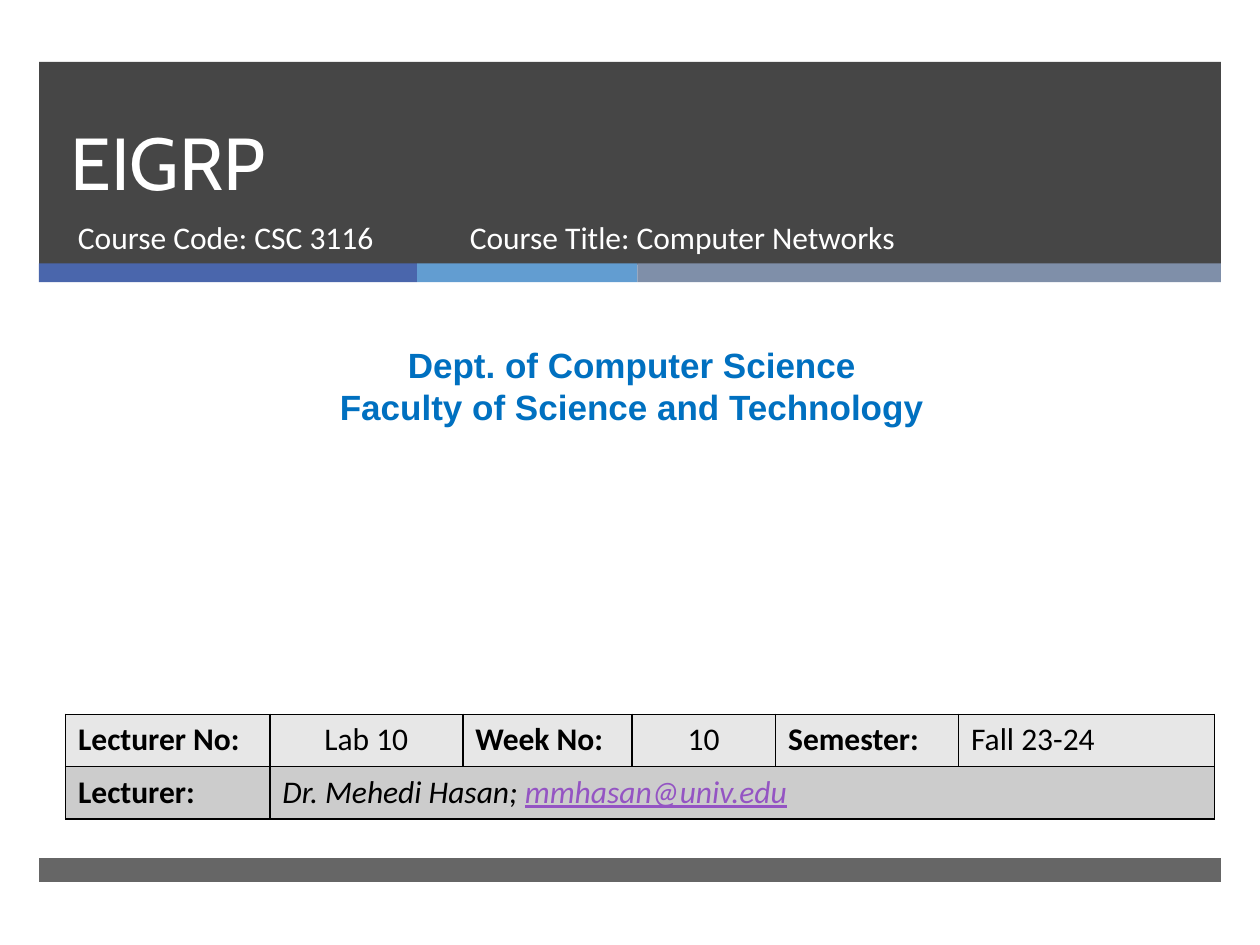
from dataclasses import dataclass

from lxml.etree import SubElement
from pptx import Presentation
from pptx.dml.color import RGBColor
from pptx.enum.shapes import MSO_SHAPE
from pptx.enum.text import MSO_ANCHOR, MSO_AUTO_SIZE, PP_ALIGN
from pptx.oxml.ns import qn
from pptx.util import Inches, Pt


@dataclass(frozen=True)
class Theme:
    dark: str = "262626"
    stripes: tuple = ("4A66AC", "629DD1", "7F8FA9")
    white: str = "FFFFFF"
    black: str = "000000"
    department: str = "0070C0"
    email: str = "9454C3"
    rows: tuple = ("E7E7E7", "CCCCCC")
    title_font: str = "Cabin"
    body_font: str = "Calibri"
    department_font: str = "Arial"
    title_size: int = 42
    title_leading: int = 46
    department_size: int = 20
    body_size: int = 18
    border: int = 1


THEME = Theme()


def style(run, size, font, color, bold=False, italic=False, underline=False):
    run.font.size = Pt(size)
    run.font.name = font
    run.font.color.rgb = RGBColor.from_string(color)
    run.font.bold = bold
    run.font.italic = italic
    run.font.underline = underline


def add_band(slide, left, top, width, height, color, opacity=100):
    band = slide.shapes.add_shape(
        MSO_SHAPE.RECTANGLE, Inches(left), Inches(top), Inches(width), Inches(height))
    band.shadow.inherit = False
    band.line.fill.background()
    band.fill.solid()
    band.fill.fore_color.rgb = RGBColor.from_string(color)
    if opacity < 100:
        fill_color = band.element.spPr.find(".//" + qn("a:srgbClr"))
        SubElement(fill_color, qn("a:alpha"), val=str(opacity * 1000))


def add_text(slide, left, top, width, height, text, size, font, color,
             bold=False, align=PP_ALIGN.LEFT):
    box = slide.shapes.add_textbox(Inches(left), Inches(top), Inches(width), Inches(height))
    frame = box.text_frame
    frame.word_wrap = True
    frame.text = text
    for paragraph in frame.paragraphs:
        paragraph.alignment = align
        style(paragraph.runs[0], size, font, color, bold)


def add_header(slide, left, top, width, height):
    """Dark banner with the title and course details, above a row of stripes."""
    add_band(slide, left, top, width, height, THEME.dark, 85)
    stripe_left = left
    stripe_widths = (3, 1.75, width - 4.75)
    for stripe_width, color in zip(stripe_widths, THEME.stripes):
        add_band(slide, stripe_left, top + 1.6, stripe_width, 0.15, color)
        stripe_left += stripe_width

    title = slide.shapes.title
    title.left, title.top = Inches(left + 0.15), Inches(top)
    title.width, title.height = Inches(8.54), Inches(1.19)
    title.element.getparent().append(title.element)  # bring in front of the banner
    frame = title.text_frame
    frame.text = "EIGRP"
    frame.auto_size = MSO_AUTO_SIZE.NONE
    frame.vertical_anchor = MSO_ANCHOR.BOTTOM
    heading = frame.paragraphs[0]
    heading.alignment = PP_ALIGN.LEFT
    heading.line_spacing = Pt(THEME.title_leading)
    style(heading.runs[0], THEME.title_size, THEME.title_font, THEME.white)

    course_details = (
        (0.21, 3.05, "Course Code: CSC 3116"),
        (3.32, 4.55, "Course Title: Computer Networks"),
    )
    for offset, detail_width, detail in course_details:
        add_text(slide, left + offset, top + 1.19, detail_width, 0.53, detail,
                 THEME.body_size, THEME.body_font, THEME.white)


def add_department(slide, left, top, width, height):
    add_text(slide, left, top, width, height,
             "Dept. of Computer Science\nFaculty of Science and Technology",
             THEME.department_size, THEME.department_font, THEME.department,
             bold=True, align=PP_ALIGN.CENTER)


def set_borders(cell):
    properties = cell._tc.get_or_add_tcPr()
    for side in ("a:lnL", "a:lnR", "a:lnT", "a:lnB"):
        line = SubElement(properties, qn(side), w=str(Pt(THEME.border)))
        fill = SubElement(line, qn("a:solidFill"))
        SubElement(fill, qn("a:srgbClr"), val=THEME.black)


def fill_cell(cell, text, bold=False, align=PP_ALIGN.LEFT):
    cell.text = text
    paragraph = cell.text_frame.paragraphs[0]
    paragraph.alignment = align
    style(paragraph.runs[0], THEME.body_size, THEME.body_font, THEME.black, bold)


def add_lecture_table(slide, left, top, width, height):
    column_shares = (1.62, 1.53, 1.34, 1.14, 1.45, 2.03)
    table = slide.shapes.add_table(
        2, len(column_shares), Inches(left), Inches(top), Inches(width), Inches(height)).table
    for column, share in zip(table.columns, column_shares):
        column.width = Inches(width * share / sum(column_shares))
    for row, color in zip(table.rows, THEME.rows):
        for cell in row.cells:
            set_borders(cell)
            cell.fill.solid()
            cell.fill.fore_color.rgb = RGBColor.from_string(color)

    lecture = (("Lecturer No:", "Lab 10", PP_ALIGN.CENTER),
               ("Week No:", "10", PP_ALIGN.CENTER),
               ("Semester:", "Fall 23-24", PP_ALIGN.LEFT))
    for pair, (label, value, align) in enumerate(lecture):
        fill_cell(table.cell(0, 2 * pair), label, bold=True)
        fill_cell(table.cell(0, 2 * pair + 1), value, align=align)

    fill_cell(table.cell(1, 0), "Lecturer:", bold=True)
    lecturer = table.cell(1, 1)
    lecturer.merge(table.cell(1, len(column_shares) - 1))
    fill_cell(lecturer, "Dr. Mehedi Hasan; ")
    contact = lecturer.text_frame.paragraphs[0]
    contact.runs[0].font.italic = True
    email = contact.add_run()
    email.text = "mmhasan@univ.edu"
    style(email, THEME.body_size, THEME.body_font, THEME.email, italic=True, underline=True)


def main():
    presentation = Presentation()
    presentation.slide_width, presentation.slide_height = Inches(10), Inches(7.5)
    slide = presentation.slides.add_slide(presentation.slide_layouts[5])
    add_header(slide, 0.31, 0.49, 9.38, 1.61)
    add_band(slide, 0.31, 6.81, 9.38, 0.19, THEME.dark, 70)
    add_department(slide, 0.08, 2.68, 9.87, 0.77)
    add_lecture_table(slide, 0.52, 5.67, 9.12, 0.83)
    presentation.save("out.pptx")


if __name__ == "__main__":
    main()
